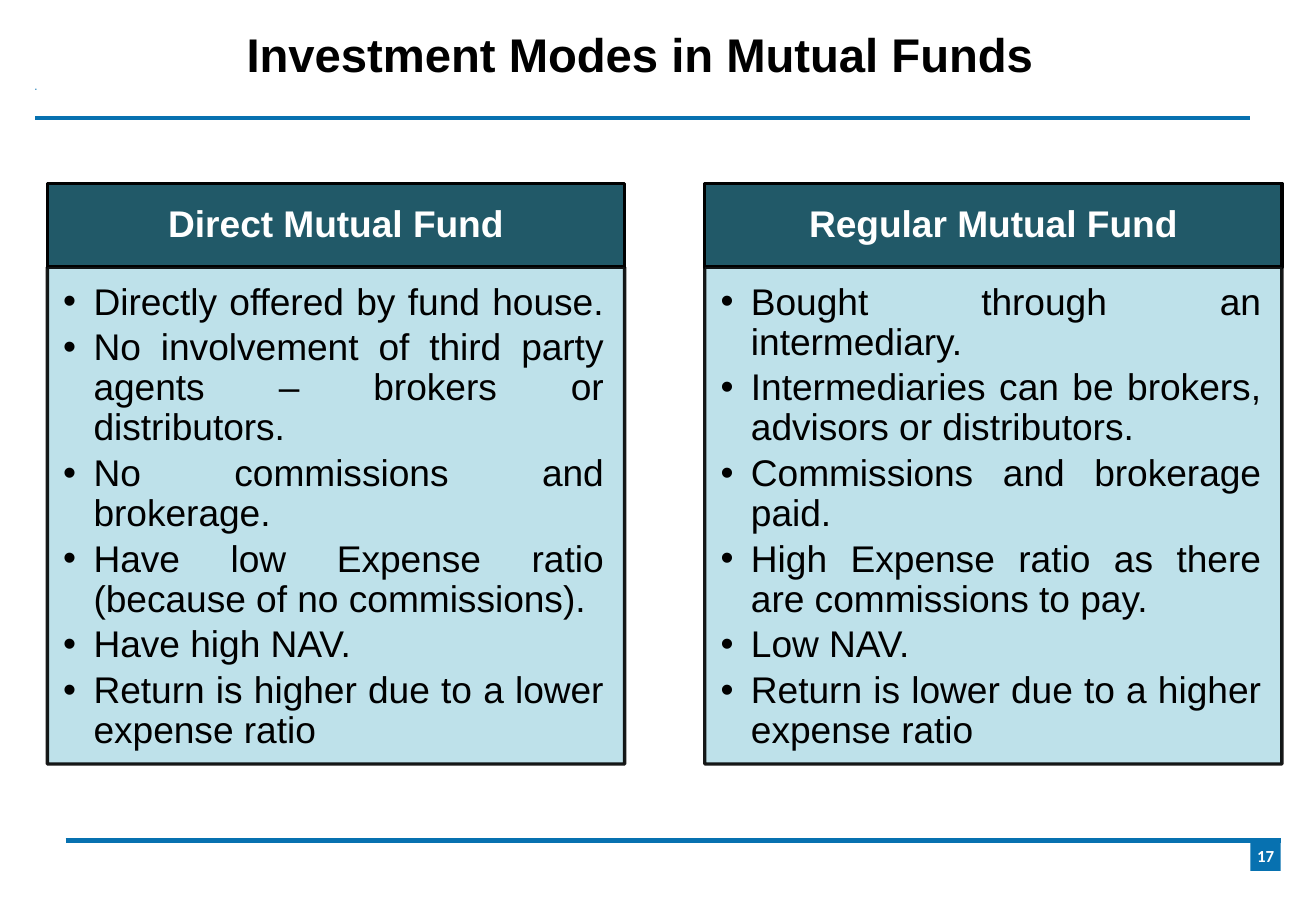
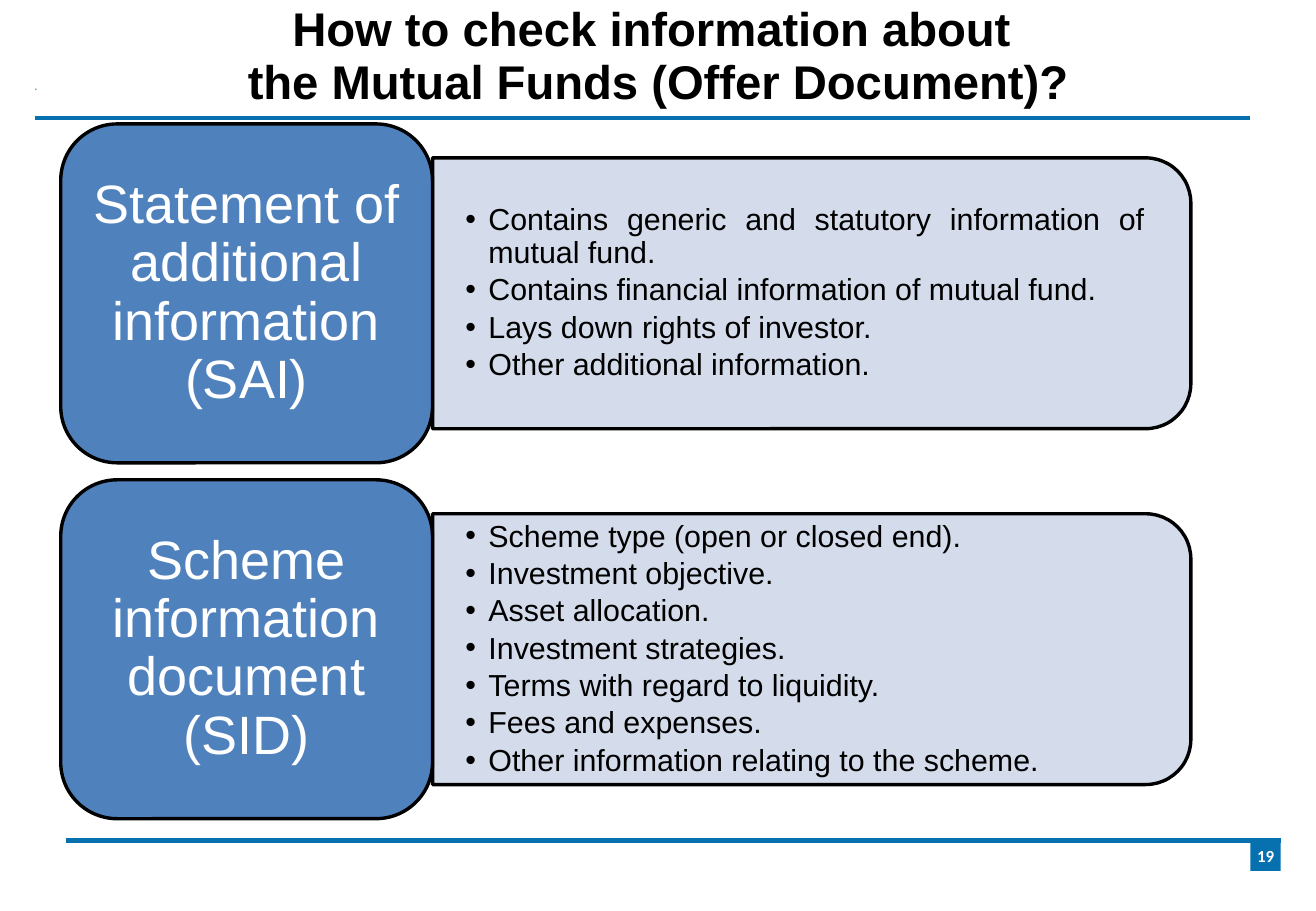
from lxml.etree import SubElement
from pptx import Presentation
from pptx.dml.color import RGBColor
from pptx.enum.shapes import MSO_CONNECTOR, MSO_SHAPE
from pptx.enum.text import MSO_ANCHOR, PP_ALIGN
from pptx.oxml.ns import qn
from pptx.util import Inches, Pt

ACCENT = RGBColor(0x07, 0x71, 0xB0)
BLACK = RGBColor(0, 0, 0)
WHITE = RGBColor(0xFF, 0xFF, 0xFF)
TEAL = RGBColor(0x21, 0x59, 0x68)
PALE_TEAL = RGBColor(0xB7, 0xDE, 0xE8)
BLUE = RGBColor(0x4F, 0x81, 0xBD)
PALE_BLUE = RGBColor(0xD0, 0xD8, 0xE8)

TITLE = {"size": Pt(28), "name": "Arial", "bold": True, "color": BLACK}
PAGE_NUMBER = {"size": Pt(10), "name": "Calibri", "bold": True, "color": WHITE}
FUND_NAME = {"size": Pt(22), "name": "Arial", "bold": True, "color": WHITE}
FUND_POINT = {"size": Pt(22), "name": "Arial", "bold": False, "color": BLACK}
DOCUMENT_NAME = {"size": Pt(32), "name": "Arial", "bold": False, "color": WHITE}
DOCUMENT_POINT = {"size": Pt(18), "name": "Arial", "bold": False, "color": BLACK}

FUNDS = [
    ("Direct Mutual Fund", [
        "Directly offered by fund house. ",
        "No involvement of third party agents – brokers or distributors. ",
        "No commissions and brokerage. ",
        "Have low Expense ratio (because of no commissions).",
        "Have high NAV.",
        "Return is higher due to a lower expense ratio",
    ]),
    ("Regular Mutual Fund", [
        "Bought through an intermediary.",
        "Intermediaries can be brokers, advisors or distributors. ",
        "Commissions and brokerage paid. ",
        "High Expense ratio as there are commissions to pay.",
        "Low NAV.",
        "Return is lower due to a higher expense ratio",
    ]),
]
DOCUMENTS = [
    ("Statement of additional information (SAI)", [
        "Contains generic and statutory information of mutual fund.",
        "Contains financial information of mutual fund.",
        "Lays down rights of investor.",
        "Other additional information.",
    ]),
    ("Scheme information document (SID)", [
        "Scheme type (open or closed end).",
        "Investment objective.",
        "Asset allocation.",
        "Investment strategies.",
        "Terms with regard to liquidity.",
        "Fees and expenses.",
        "Other information relating to the scheme.",
    ]),
]


def write(holder, lines, style, insets=(0, 0, 0, 0), anchor=MSO_ANCHOR.MIDDLE,
          spacing=0.9, hang=None):
    """Fill a holder with centred lines, or justified bullets if hang is given."""
    frame = holder.text_frame
    margins = dict(zip(("margin_left", "margin_top", "margin_right", "margin_bottom"),
                       map(Inches, insets)))
    for key, value in {**margins, "word_wrap": True, "vertical_anchor": anchor}.items():
        setattr(frame, key, value)
    for index, line in enumerate(lines):
        paragraph = frame.add_paragraph() if index else frame.paragraphs[0]
        layout = {"alignment": PP_ALIGN.CENTER, "line_spacing": spacing}
        if hang:
            properties = paragraph._p.get_or_add_pPr()
            properties.set("marL", str(Inches(hang)))
            properties.set("indent", str(-Inches(hang)))
            SubElement(properties, qn("a:buFont")).set("typeface", "Arial")
            SubElement(properties, qn("a:buChar")).set("char", "•")
            layout.update(alignment=PP_ALIGN.JUSTIFY,
                          space_after=Pt(round(0.15 * style["size"].pt, 2)))
        for key, value in layout.items():
            setattr(paragraph, key, value)
        run = paragraph.add_run()
        run.text = line
        for key, value in style.items():
            if key == "color":
                run.font.color.rgb = value
            else:
                setattr(run.font, key, value)


def add_block(slide, preset, box, color, outlined=True):
    """Add a flat filled shape, with a black outline unless told otherwise."""
    block = slide.shapes.add_shape(preset, *map(Inches, box))
    block.shadow.inherit = False
    block.fill.solid()
    block.fill.fore_color.rgb = color
    if outlined:
        block.line.color.rgb = BLACK
        block.line.width = Pt(2)
    else:
        block.line.fill.background()
    return block


def fade(block, colors):
    """Make the colours found by an XPath in a block 90 % opaque."""
    for color in block._element.spPr.xpath(colors):
        SubElement(color, qn("a:alpha")).set("val", "90000")


def add_rule(slide, left, top, width=10):
    """Draw a horizontal accent rule."""
    rule = slide.shapes.add_connector(
        MSO_CONNECTOR.STRAIGHT, *map(Inches, (left, top, left + width, top)))
    rule.line.color.rgb = ACCENT
    rule.line.width = Pt(2.5)
    SubElement(rule._element.spPr, qn("a:effectLst"))


def add_page(deck, title_lines, title_left, number):
    """Add a slide with its rules, title and page number."""
    slide = deck.slides.add_slide(deck.slide_layouts[6])
    add_rule(slide, 0.29, 0.97)
    add_block(slide, MSO_SHAPE.RECTANGLE, (0.29, 0.73, 0.01, 0.01), ACCENT, False)
    add_rule(slide, 0.54, 6.92)
    title = slide.shapes.add_textbox(*map(Inches, (title_left, 0.1, 9.75, 0.74)))
    write(title, title_lines, TITLE, spacing=0.93)
    badge = add_block(slide, MSO_SHAPE.RECTANGLE, (10.29, 6.92, 0.25, 0.25), ACCENT, False)
    write(badge, [number], PAGE_NUMBER, spacing=1.0)
    return slide


def add_fund_column(slide, box, name, points):
    """Place a fund heading above its list of points."""
    left, top, width, height = box
    head = 0.69
    heading = add_block(slide, MSO_SHAPE.RECTANGLE, (left, top, width, head), TEAL)
    write(heading, [name], FUND_NAME, (0.17, 0.1, 0.17, 0.1))
    body = add_block(slide, MSO_SHAPE.RECTANGLE,
                     (left, top + head, width, height - head), PALE_TEAL)
    fade(body, ".//a:srgbClr")
    write(body, points, FUND_POINT, (0.13, 0.13, 0.17, 0.19), MSO_ANCHOR.TOP, hang=0.25)


def add_document_row(slide, box, name, points):
    """Place a document label with its panel of points to the right."""
    left, top, width, height = box
    label_width, panel_height = 3.06, 2.23
    panel_left, panel_width = left + label_width, width - label_width
    middle = top + height / 2
    panel = add_block(slide, MSO_SHAPE.ROUND_2_SAME_RECTANGLE,
                      (panel_left + (panel_width - panel_height) / 2,
                       middle - panel_width / 2, panel_height, panel_width), PALE_BLUE)
    panel.rotation = 90
    fade(panel, "./a:solidFill/a:srgbClr")
    details = slide.shapes.add_textbox(*map(Inches, (
        panel_left, middle - panel_height / 2 + 0.11,
        panel_width - 0.11, panel_height - 0.22)))
    write(details, points, DOCUMENT_POINT, (0.27, 0.14, 0.27, 0.14), hang=0.19)
    label = add_block(slide, MSO_SHAPE.ROUNDED_RECTANGLE,
                      (left, top, label_width, height), BLUE)
    write(label, [name], DOCUMENT_NAME, (0.13, 0.07, 0.13, 0.07))


def main():
    """Build and save the deck."""
    deck = Presentation()
    deck.slide_width, deck.slide_height = Inches(10.83), Inches(7.5)

    modes = add_page(deck, ["Investment Modes in Mutual Funds"], 0.39, "17")
    for index, fund in enumerate(FUNDS):
        add_fund_column(modes, (0.39 + index * 5.41, 1.51, 4.75, 4.78), *fund)

    offer = add_page(deck, ["How to check information about ",
                            "the Mutual Funds (Offer Document)?"], 0.54, "19")
    for index, document in enumerate(DOCUMENTS):
        add_document_row(offer, (0.5, 1.02 + index * 2.93, 9.3, 2.79), *document)

    deck.save("out.pptx")


if __name__ == "__main__":
    main()
